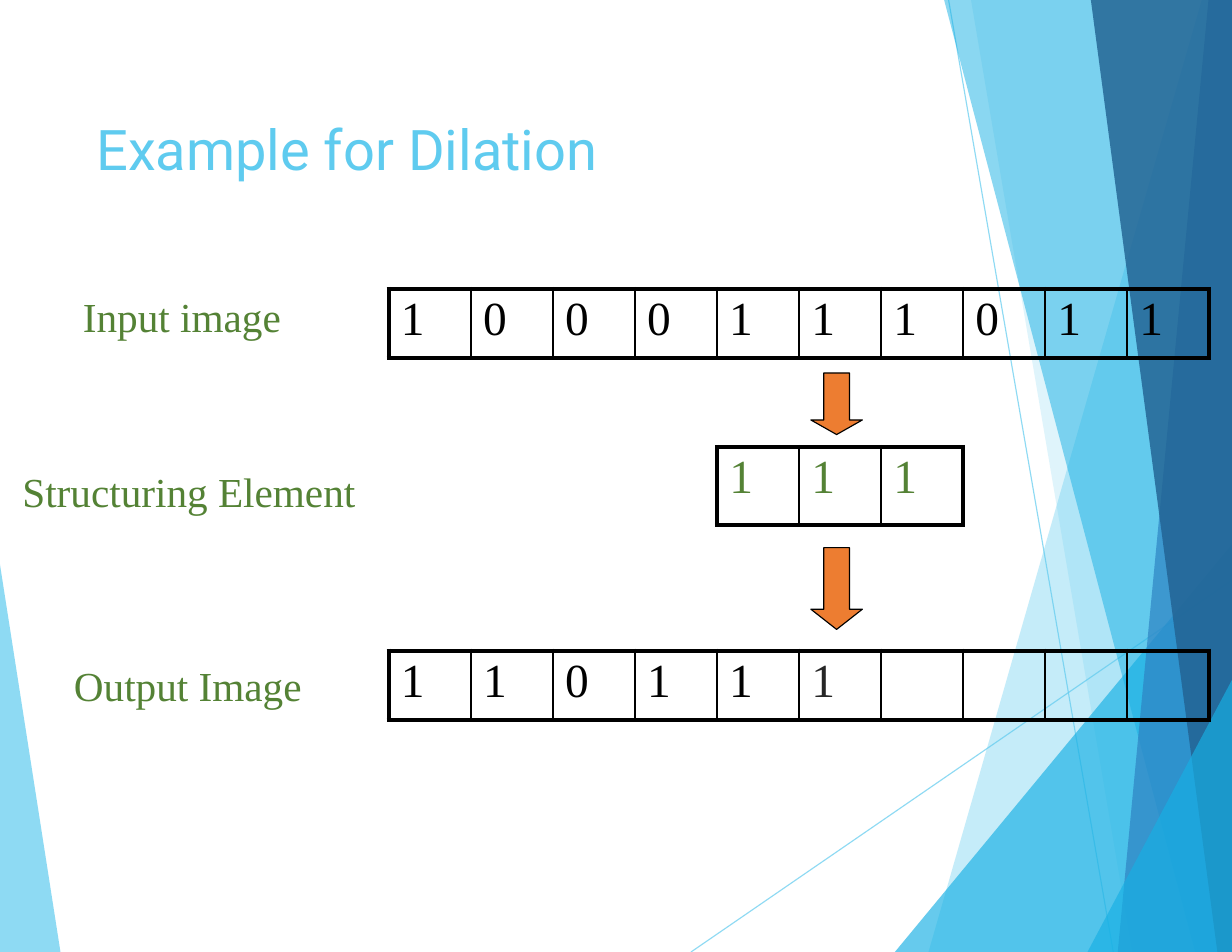
from lxml import etree
from pptx import Presentation
from pptx.dml.color import RGBColor
from pptx.enum.shapes import MSO_CONNECTOR, MSO_SHAPE
from pptx.enum.text import MSO_ANCHOR
from pptx.oxml.ns import qn
from pptx.util import Inches, Pt

WIDTH, HEIGHT = 11, 8.5
COLORS = {
    "sky": "5FCBEF",
    "cyan": "17B0E4",
    "blue": "2E83C3",
    "navy": "226292",
    "green": "548235",
    "orange": "ED7D31",
    "black": "000000",
    "charcoal": "262626",
}
SERIF = "Times New Roman"
CELL_WIDTH = 0.733
GRID_LEFT = 3.47

# Decorative facets: colour, opacity in percent, corner points
FACETS = [
    ("sky", 36, [(10.73, 0), (8.29, HEIGHT), (WIDTH, HEIGHT), (WIDTH, 0)]),
    ("sky", 20, [(8.67, 0), (10.11, HEIGHT), (WIDTH, HEIGHT), (WIDTH, 0)]),
    ("cyan", 66, [(7.99, HEIGHT), (WIDTH, 4.86), (WIDTH, HEIGHT)]),
    ("cyan", 50, [(8.43, 0), (10.67, HEIGHT), (WIDTH, HEIGHT), (WIDTH, 0)]),
    ("blue", 70, [(10.79, 0), (9.98, HEIGHT), (WIDTH, HEIGHT), (WIDTH, 0)]),
    ("navy", 82, [(9.74, 0), (10.87, HEIGHT), (WIDTH, HEIGHT), (WIDTH, 0)]),
    ("cyan", 66, [(9.71, HEIGHT), (WIDTH, 6.07), (WIDTH, HEIGHT)]),
]
LEFT_FACET = ("sky", 70, [(0, 5.04), (0.54, HEIGHT), (0, HEIGHT)])
RAYS = [((6.17, HEIGHT), (WIDTH, 5.18)), ((8.47, 0), (9.94, HEIGHT))]


def rgb(name):
    return RGBColor.from_string(COLORS[name])


def set_opacity(shape, percent):
    for color in shape._element.spPr.iter(qn("a:srgbClr")):
        etree.SubElement(color, qn("a:alpha"), val=str(percent * 1000))


def add_facet(slide, color, opacity, points):
    corners = [(Inches(x), Inches(y)) for x, y in points]
    builder = slide.shapes.build_freeform(*corners[0])
    builder.add_line_segments(corners[1:], close=True)
    shape = builder.convert_to_shape()
    shape.shadow.inherit = False
    shape.fill.solid()
    shape.fill.fore_color.rgb = rgb(color)
    shape.line.fill.background()
    set_opacity(shape, opacity)


def add_ray(slide, start, end):
    ray = slide.shapes.add_connector(
        MSO_CONNECTOR.STRAIGHT, *(Inches(value) for value in start + end))
    ray.line.color.rgb = rgb("sky")
    ray.line.width = Pt(0.75)
    set_opacity(ray, 70)
    etree.SubElement(ray._element.spPr, qn("a:effectLst"))


def add_background(slide):
    add_facet(slide, *LEFT_FACET)
    for start, end in RAYS:
        add_ray(slide, start, end)
    for facet in FACETS:
        add_facet(slide, *facet)


def write_run(paragraph, text, size, font, color):
    run = paragraph.add_run()
    run.text = text
    run.font.size = Pt(size)
    run.font.name = font
    run.font.color.rgb = rgb(color)


def add_text(slide, box, lines, size, font, color, inset=0.01):
    """Each line is its text, left indent in inches and space before in points."""
    frame = slide.shapes.add_textbox(*(Inches(value) for value in box)).text_frame
    frame.word_wrap = True
    frame.vertical_anchor = MSO_ANCHOR.TOP
    frame.margin_left = frame.margin_right = frame.margin_bottom = 0
    frame.margin_top = Inches(inset)
    for index, (text, indent, space) in enumerate(lines):
        paragraph = frame.add_paragraph() if index else frame.paragraphs[0]
        paragraph._p.get_or_add_pPr().set("marL", str(Inches(indent)))
        if space:
            paragraph.space_before = Pt(space)
        write_run(paragraph, text, size, font, color)


def set_borders(cell, widths):
    properties = cell._tc.get_or_add_tcPr()
    for index, (side, width) in enumerate(widths.items()):
        line = etree.Element(qn("a:ln" + side), w=str(Pt(width)))
        fill = etree.SubElement(line, qn("a:solidFill"))
        etree.SubElement(fill, qn("a:srgbClr"), val=COLORS["black"])
        properties.insert(index, line)


def add_pixel_row(slide, left, top, height, values, colors):
    count = len(values)
    table = slide.shapes.add_table(
        1, count, Inches(left), Inches(top),
        Inches(count * CELL_WIDTH), Inches(height)).table
    table.first_row = table.horz_banding = False
    for index, (value, color) in enumerate(zip(values, colors)):
        table.columns[index].width = Inches(CELL_WIDTH)
        cell = table.cell(0, index)
        cell.margin_left = Inches(0.11)
        cell.margin_top = Inches(0.04)
        cell.margin_right = cell.margin_bottom = 0
        cell.fill.background()
        set_borders(cell, {
            "L": 3 if index == 0 else 1.5,
            "R": 3 if index == count - 1 else 1.5,
            "T": 3,
            "B": 3,
        })
        if value.strip():
            write_run(cell.text_frame.paragraphs[0], value, 30.5, SERIF, color)


def add_down_arrow(slide, left, top, width, height, head):
    arrow = slide.shapes.add_shape(
        MSO_SHAPE.DOWN_ARROW, Inches(left), Inches(top), Inches(width), Inches(height))
    arrow.adjustments[0] = 0.5
    arrow.adjustments[1] = head / width
    arrow.shadow.inherit = False
    arrow.fill.solid()
    arrow.fill.fore_color.rgb = rgb("orange")
    arrow.line.color.rgb = rgb("black")
    arrow.line.width = Pt(0.75)


def add_dilation(slide):
    # Row labels
    add_text(slide, (0.19, 2.59, 2.99, 1.98),
             [("Input image", 0.55, 0), ("Structuring Element", 0.01, 81)],
             26.5, SERIF, "green")
    add_text(slide, (0.65, 5.89, 2.05, 0.47), [("Output Image", 0.01, 0)],
             26.5, SERIF, "green")

    # Pixel rows; the structuring element sits under the fifth to seventh pixel
    add_pixel_row(slide, GRID_LEFT, 2.58, 0.62, "1000111011", ["black"] * 10)
    add_pixel_row(slide, GRID_LEFT + 4 * CELL_WIDTH, 3.99, 0.7, "111", ["green"] * 3)
    add_pixel_row(slide, GRID_LEFT, 5.81, 0.62, "110111".ljust(10),
                  ["black"] * 5 + ["charcoal"] * 5)

    # Arrows between the rows
    add_down_arrow(slide, 7.24, 3.33, 0.46, 0.55, 0.13)
    add_down_arrow(slide, 7.24, 4.89, 0.46, 0.73, 0.18)


def main():
    presentation = Presentation()
    presentation.slide_width = Inches(WIDTH)
    presentation.slide_height = Inches(HEIGHT)
    slide = presentation.slides.add_slide(presentation.slide_layouts[6])
    add_background(slide)
    add_text(slide, (0.85, 1, 6.15, 0.63), [("Example for Dilation", 0.01, 0)],
             36, "Roboto", "sky", inset=0.02)
    add_dilation(slide)
    presentation.save("out.pptx")


if __name__ == "__main__":
    main()
